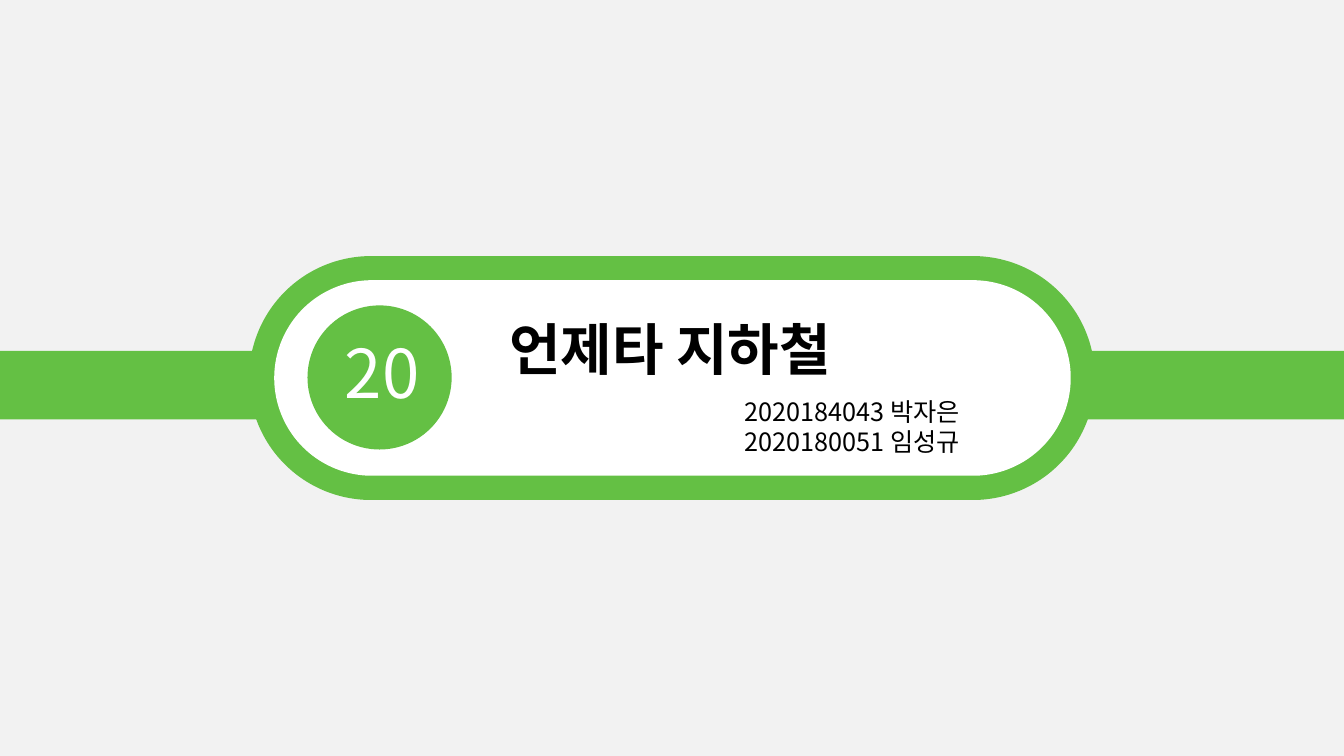
from pptx import Presentation
from pptx.dml.color import RGBColor
from pptx.enum.shapes import MSO_SHAPE
from pptx.enum.text import MSO_AUTO_SIZE, PP_ALIGN
from pptx.oxml.ns import qn
from pptx.util import Inches, Pt
from lxml.etree import SubElement

COLORS = {"background": "F2F2F2", "line": "64C044", "sign": "FFFFFF", "text": "000000"}
FONT = "Noto Sans CJK KR"


def write_text(frame, text, size=18, color="text", bold=False, align=PP_ALIGN.LEFT):
    """Fill the frame with one paragraph per line of text."""
    for index, line in enumerate(text.split("\n")):
        paragraph = frame.add_paragraph() if index else frame.paragraphs[0]
        paragraph.alignment = align
        run = paragraph.add_run()
        run.text = line
        run.font.name = FONT
        run.font.size = Pt(size)
        run.font.bold = bold
        run.font.color.rgb = RGBColor.from_string(COLORS[color])
        east_asian = SubElement(run.font._element, qn("a:ea"))
        east_asian.set("typeface", FONT)


class StationSign:
    """Holds the current slide and draws elements in the sign's style."""

    def __init__(self, slide):
        self.slide = slide
        fill = slide.background.fill
        fill.solid()
        fill.fore_color.rgb = RGBColor.from_string(COLORS["background"])

    def add_block(self, kind, left, top, width, height, color="line"):
        shape = self.slide.shapes.add_shape(
            kind, Inches(left), Inches(top), Inches(width), Inches(height))
        shape.shadow.inherit = False
        shape.fill.solid()
        shape.fill.fore_color.rgb = RGBColor.from_string(COLORS[color])
        shape.line.fill.background()
        return shape

    def add_capsule(self, left, top, width, height, color):
        capsule = self.add_block(
            MSO_SHAPE.ROUNDED_RECTANGLE, left, top, width, height, color)
        capsule.adjustments[0] = 0.5

    def add_text(self, text, left, top, width, height, inset=0.1, **text_format):
        box = self.slide.shapes.add_textbox(
            Inches(left), Inches(top), Inches(width), Inches(height))
        frame = box.text_frame
        frame.word_wrap = True
        frame.auto_size = MSO_AUTO_SIZE.SHAPE_TO_FIT_TEXT
        frame.margin_left = Inches(inset)
        write_text(frame, text, **text_format)


def main():
    presentation = Presentation()
    presentation.slide_width = Inches(13.33)
    presentation.slide_height = Inches(7.5)
    sign = StationSign(presentation.slides.add_slide(presentation.slide_layouts[6]))

    sign.add_block(MSO_SHAPE.RECTANGLE, 0, 3.48, 13.33, 0.68)
    sign.add_capsule(2.47, 2.54, 8.39, 2.42, "line")
    sign.add_capsule(2.72, 2.78, 7.9, 1.94, "sign")
    sign.add_block(MSO_SHAPE.OVAL, 3.05, 3.03, 1.43, 1.43)

    sign.add_text("20", 3.11, 3.24, 1.36, 0.91,
                  size=48, color="sign", align=PP_ALIGN.CENTER)
    sign.add_text("언제타 지하철", 4.83, 3.07, 4.95, 1.38, inset=0.22, size=40, bold=True)
    sign.add_text("2020184043 박자은\n2020180051 임성규", 5.52, 3.88, 4.1, 0.71,
                  align=PP_ALIGN.RIGHT)

    presentation.save("out.pptx")


if __name__ == "__main__":
    main()
